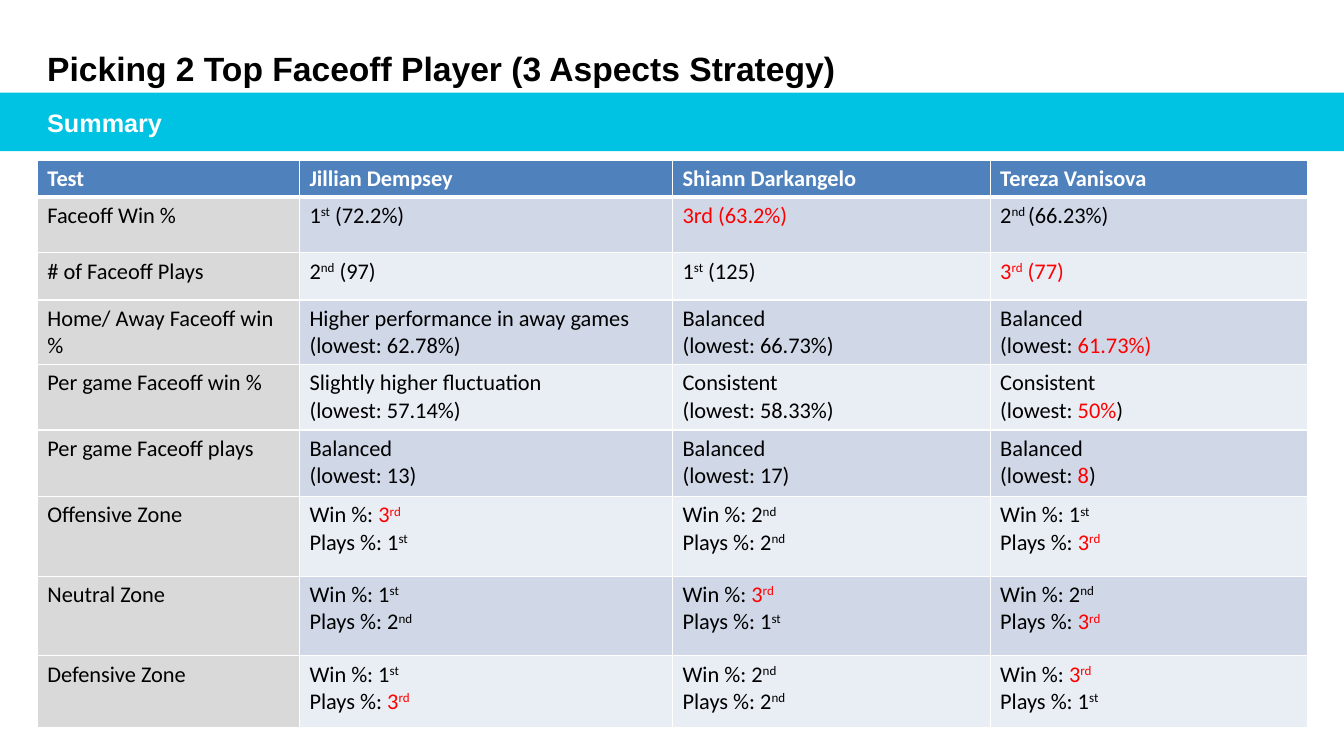
from lxml import etree
from pptx import Presentation
from pptx.dml.color import RGBColor
from pptx.enum import shapes, text
from pptx.oxml import ns
from pptx.util import Inches, Pt

BLACK = RGBColor(0x00, 0x00, 0x00)
WHITE = RGBColor(0xFF, 0xFF, 0xFF)
RED = RGBColor(0xFF, 0x00, 0x00)
CYAN = RGBColor(0x00, 0xC2, 0xE2)
BLUE = RGBColor(0x4F, 0x81, 0xBD)
GREY = RGBColor(0xD9, 0xD9, 0xD9)
BANDS = [RGBColor(0xE9, 0xED, 0xF4), RGBColor(0xD0, 0xD8, 0xE8)]


def write(frame, content, size=16, font="Calibri", color=BLACK, bold=False,
          anchor=text.MSO_ANCHOR.TOP):
    """Fill a frame; *...* is red, ^...^ is superscript, a newline starts a paragraph."""
    frame.word_wrap = True
    frame.vertical_anchor = anchor
    for n, line in enumerate(content.split("\n")):
        paragraph = frame.paragraphs[0] if n == 0 else frame.add_paragraph()
        paragraph.alignment = text.PP_ALIGN.LEFT
        for i, part in enumerate(line.split("*")):
            for j, piece in enumerate(part.split("^")):
                if not piece:
                    continue
                run = paragraph.add_run()
                run.text = piece
                run.font.size, run.font.name, run.font.bold = Pt(size), font, bold
                run.font.color.rgb = RED if i % 2 else color
                if j % 2:
                    run._r.get_or_add_rPr().set("baseline", "30000")


def add_borders(cell, **widths):
    """Draw white cell borders; widths in points by side L, R, T, B."""
    properties = cell._tc.get_or_add_tcPr()
    for position, (side, width) in enumerate(widths.items()):
        line = etree.Element(ns.qn("a:ln" + side), w=str(Pt(width)))
        fill = etree.SubElement(line, ns.qn("a:solidFill"))
        etree.SubElement(fill, ns.qn("a:srgbClr"), val=str(WHITE))
        properties.insert(position, line)


deck = Presentation()
deck.slide_width, deck.slide_height = Inches(13.33), Inches(7.5)
slide = deck.slides.add_slide(deck.slide_layouts[6])

# Cyan band
band = slide.shapes.add_shape(shapes.MSO_SHAPE.RECTANGLE, Inches(0), Inches(0.92),
                              Inches(13.33), Inches(0.58))
band.shadow.inherit = False
band.fill.solid()
band.fill.fore_color.rgb = CYAN
band.line.fill.background()

# Title and subtitle
title = slide.shapes.add_textbox(Inches(0.37), Inches(0.3), Inches(10.5), Inches(0.62))
write(title.text_frame, "Picking 2 Top Faceoff Player (3 Aspects Strategy)", size=24,
      font="Arial", bold=True, anchor=text.MSO_ANCHOR.BOTTOM)
subtitle = slide.shapes.add_textbox(Inches(0.37), Inches(0.92), Inches(10.5), Inches(0.58))
write(subtitle.text_frame, "Summary", size=18, font="Arial", color=WHITE, bold=True,
      anchor=text.MSO_ANCHOR.MIDDLE)

# Player comparison
comparison = [
    ["Test", "Jillian Dempsey", "Shiann Darkangelo", "Tereza Vanisova"],
    ["Faceoff Win %", "1^st^ (72.2%)", "*3rd (63.2%)*", "2^nd ^(66.23%)"],
    ["# of Faceoff Plays", "2^nd^ (97)", "1^st^ (125)", "*3^rd^ (77)*"],
    ["Home/ Away Faceoff win %", "Higher performance in away games\n(lowest: 62.78%)",
     "Balanced\n(lowest: 66.73%)", "Balanced\n(lowest: *61.73%)*"],
    ["Per game Faceoff win %", "Slightly higher fluctuation\n(lowest: 57.14%)",
     "Consistent\n(lowest: 58.33%)", "Consistent\n(lowest: *50%*)"],
    ["Per game Faceoff plays", "Balanced\n(lowest: 13)", "Balanced\n(lowest: 17)",
     "Balanced\n(lowest: *8*)"],
    ["Offensive Zone", "Win %: *3^rd^*\nPlays %: 1^st^", "Win %: 2^nd^\nPlays %: 2^nd^",
     "Win %: 1^st^\nPlays %: *3^rd^*"],
    ["Neutral Zone", "Win %: 1^st^\nPlays %: 2^nd^", "Win %: *3^rd^*\nPlays %: 1^st^",
     "Win %: 2^nd^\nPlays %: *3^rd^*"],
    ["Defensive Zone", "Win %: 1^st^\nPlays %: *3^rd^*", "Win %: 2^nd^\nPlays %: 2^nd^",
     "Win %: *3^rd^*\nPlays %: 1^st^"],
]
column_widths = [2.6, 3.7, 3.15, 3.15]
row_heights = [0.36, 0.55, 0.47, 0.64, 0.65, 0.66, 0.79, 0.79, 0.71]
table = slide.shapes.add_table(len(row_heights), len(column_widths), Inches(0.37),
                               Inches(1.59), Inches(sum(column_widths)),
                               Inches(sum(row_heights))).table
for column, width in zip(table.columns, column_widths):
    column.width = Inches(width)

for r, (entries, height) in enumerate(zip(comparison, row_heights)):
    table.rows[r].height = Inches(height)
    header = r == 0
    for c, entry in enumerate(entries):
        cell = table.cell(r, c)
        cell.fill.solid()
        cell.fill.fore_color.rgb = BLUE if header else GREY if c == 0 else BANDS[r % 2]
        write(cell.text_frame, entry, color=WHITE if header else BLACK, bold=header)
        add_borders(cell, L=1, R=1, T=3 if r == 1 else 1, B=3 if header else 1)

deck.save("out.pptx")
